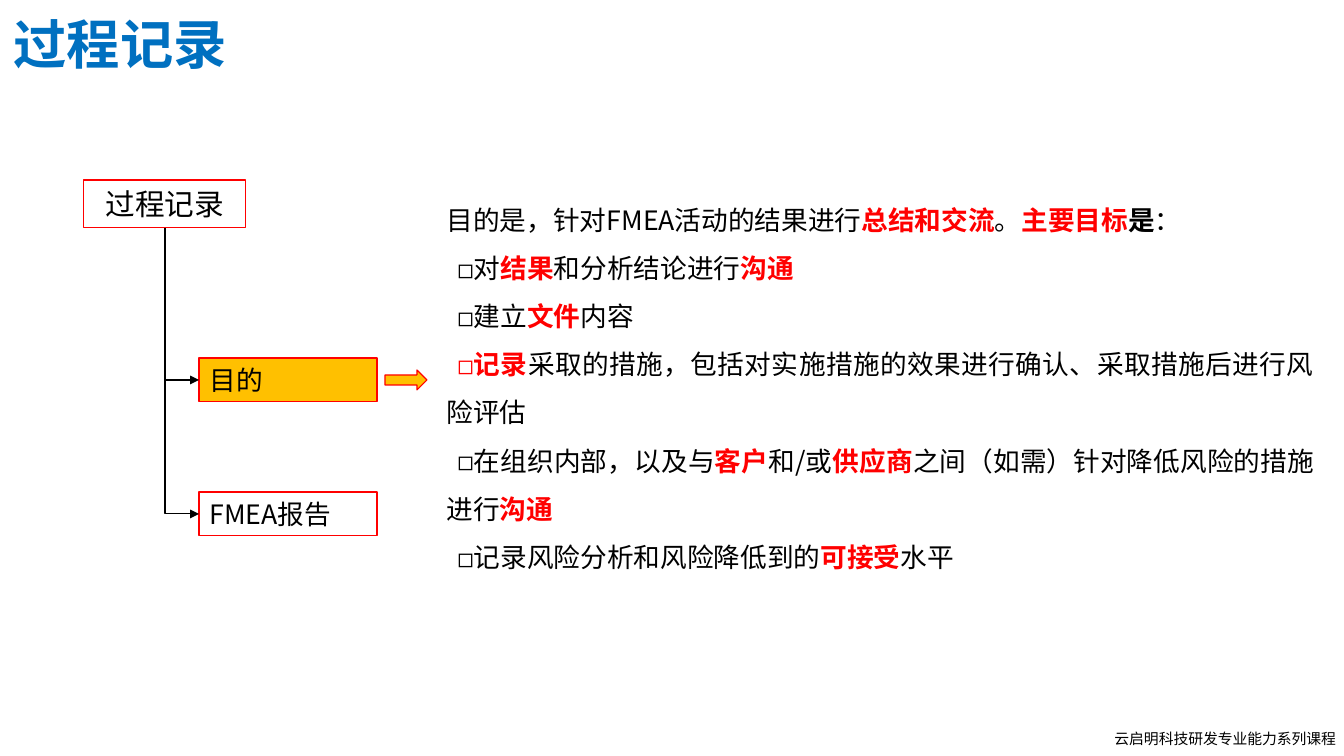
from lxml import etree
from pptx import Presentation
from pptx import util as u
from pptx.dml.color import RGBColor
from pptx.enum import shapes, text
from pptx.oxml import ns

FONT = "Noto Sans CJK SC"
BLACK, RED, BLUE, AMBER = "000000", "FF0000", "0070C0", "FFC000"
EMU_PER_PX = 8572.5


def px(length):
    """Turn a length in px into EMU."""
    return u.Emu(round(length * EMU_PER_PX))


def rgb(value):
    """Turn a hex string into a colour."""
    return RGBColor.from_string(value)


def sub(parent, tag, **attributes):
    """Append a DrawingML element."""
    return etree.SubElement(parent, ns.qn(tag), attributes)


def plain(words):
    """Describe a regular black run."""
    return words, BLACK, False


def key(words):
    """Describe a bold red run."""
    return words, RED, True


def add_runs(paragraph, runs, size):
    """Add each described run to the paragraph."""
    for words, colour, bold in runs:
        run = paragraph.add_run()
        run.text = words
        run.font.size = u.Pt(size)
        run.font.name = FONT
        run.font.bold = bold
        run.font.color.rgb = rgb(colour)
        sub(run.font._element, "a:ea", typeface=FONT)


def place(shape, box):
    """Move a shape to its box."""
    shape.left, shape.top, shape.width, shape.height = map(px, box)


def write_line(shape, run, size, alignment):
    """Write one vertically centred line in a shape."""
    frame = shape.text_frame
    frame.auto_size = text.MSO_AUTO_SIZE.NONE
    frame.word_wrap = True
    frame.vertical_anchor = text.MSO_ANCHOR.MIDDLE
    frame.paragraphs[0].alignment = alignment
    add_runs(frame.paragraphs[0], [run], size)


def add_block(slide, kind, box, fill=None):
    """Add a red-outlined shape, filled or hollow."""
    shape = slide.shapes.add_shape(kind, *map(px, box))
    shape.shadow.inherit = False
    if fill:
        shape.fill.solid()
        shape.fill.fore_color.rgb = rgb(fill)
    else:
        shape.fill.background()
    shape.line.color.rgb = rgb(RED)
    shape.line.width = u.Pt(0.75)
    return shape


def add_branch_arrow(slide, start, end):
    """Add an elbow arrow that goes down from start, then right to end."""
    run, drop = end[0] - start[0], end[1] - start[1]
    middle_x, middle_y = start[0] + run / 2, start[1] + drop / 2
    arrow = slide.shapes.add_connector(
        shapes.MSO_CONNECTOR.ELBOW,
        px(middle_x + drop / 2), px(middle_y - run / 2),
        px(middle_x - drop / 2), px(middle_y + run / 2))
    properties = arrow._element.spPr
    properties.find(ns.qn("a:xfrm")).set("rot", str(270 * 60000))
    properties.find(ns.qn("a:prstGeom")).set("prst", "bentConnector2")
    arrow.line.color.rgb = rgb(BLACK)
    arrow.line.width = u.Pt(0.75)
    sub(arrow.line._get_or_add_ln(), "a:tailEnd", type="triangle")
    sub(properties, "a:effectLst")


def build_title(slide, box):
    """Fill the title placeholder."""
    place(slide.shapes.title, box)
    write_line(slide.shapes.title, ("过程记录", BLUE, True), 36, text.PP_ALIGN.LEFT)


def build_tree(slide, box):
    """Draw the root, its two branches and the pointer to the details."""
    left, top, width, height = box
    root_width, root_height, branch_width, branch_height = 162, 48, 178, 44
    rectangle = shapes.MSO_SHAPE.RECTANGLE
    root = add_block(slide, rectangle, (left, top, root_width, root_height))
    write_line(root, plain("过程记录"), 20, text.PP_ALIGN.CENTER)
    branch_left = left + width - branch_width
    branches = (("目的", top + 178, AMBER),
                ("FMEA报告", top + height - branch_height, None))
    for words, branch_top, fill in branches:
        branch = add_block(
            slide, rectangle,
            (branch_left, branch_top, branch_width, branch_height), fill)
        write_line(branch, plain(words), 18, text.PP_ALIGN.JUSTIFY)
        add_branch_arrow(slide, (left + root_width / 2, top + root_height),
                         (branch_left, branch_top + branch_height / 2))
    add_block(slide, shapes.MSO_SHAPE.RIGHT_ARROW,
              (left + width + 8, top + 190, 42, 20), AMBER)


def build_purpose(slide, box):
    """Fill the body placeholder with the purpose and its goals."""
    purpose = (plain("目的是，针对FMEA活动的结果进行"), key("总结和交流"),
               plain("。"), key("主要目标"), ("是", BLACK, True), plain("："))
    goals = (
        (plain("对"), key("结果"), plain("和分析结论进行"), key("沟通")),
        (plain("建立"), key("文件"), plain("内容")),
        (key("记录"),
         plain("采取的措施，包括对实施措施的效果进行确认、采取措施后进行风险评估")),
        (plain("在组织内部，以及与"), key("客户"), plain("和/或"), key("供应商"),
         plain("之间（如需）针对降低风险的措施进行"), key("沟通")),
        (plain("记录风险分析和风险降低到的"), key("可接受"), plain("水平")),
    )
    body = slide.placeholders[1]
    place(body, box)
    frame = body.text_frame
    frame.auto_size = text.MSO_AUTO_SIZE.NONE
    frame.word_wrap = True
    frame.vertical_anchor = text.MSO_ANCHOR.TOP
    for index, runs in enumerate((purpose, *goals)):
        paragraph = frame.add_paragraph() if index else frame.paragraphs[0]
        properties = paragraph._p.get_or_add_pPr()
        properties.set("marL", "0")
        properties.set("indent", str(u.Inches(0.1) if index else 0))
        if index:
            paragraph.level = 1
            sub(properties, "a:buFont", typeface=FONT)
            sub(properties, "a:buChar", char="◻")
        else:
            sub(properties, "a:buNone")
        paragraph.alignment = text.PP_ALIGN.JUSTIFY
        paragraph.line_spacing = u.Pt(32.5)
        paragraph.space_before = paragraph.space_after = u.Pt(0)
        add_runs(paragraph, runs, 18)


def build_footer(slide, box):
    """Add the course name at the bottom right."""
    footer = slide.shapes.add_textbox(*map(px, box))
    footer.text_frame.margin_right = 0
    write_line(footer, plain("云启明科技研发专业能力系列课程"), 10, text.PP_ALIGN.LEFT)


def main():
    """Build and save the slide."""
    presentation = Presentation()
    presentation.slide_width, presentation.slide_height = px(1344), px(756)
    slide = presentation.slides.add_slide(presentation.slide_layouts[1])
    build_footer(slide, (1104, 724, 240, 29))
    build_title(slide, (3, 5, 529, 76))
    build_tree(slide, (84, 180, 293, 356))
    build_purpose(slide, (436, 182, 889, 393))
    presentation.save("out.pptx")


if __name__ == "__main__":
    main()
